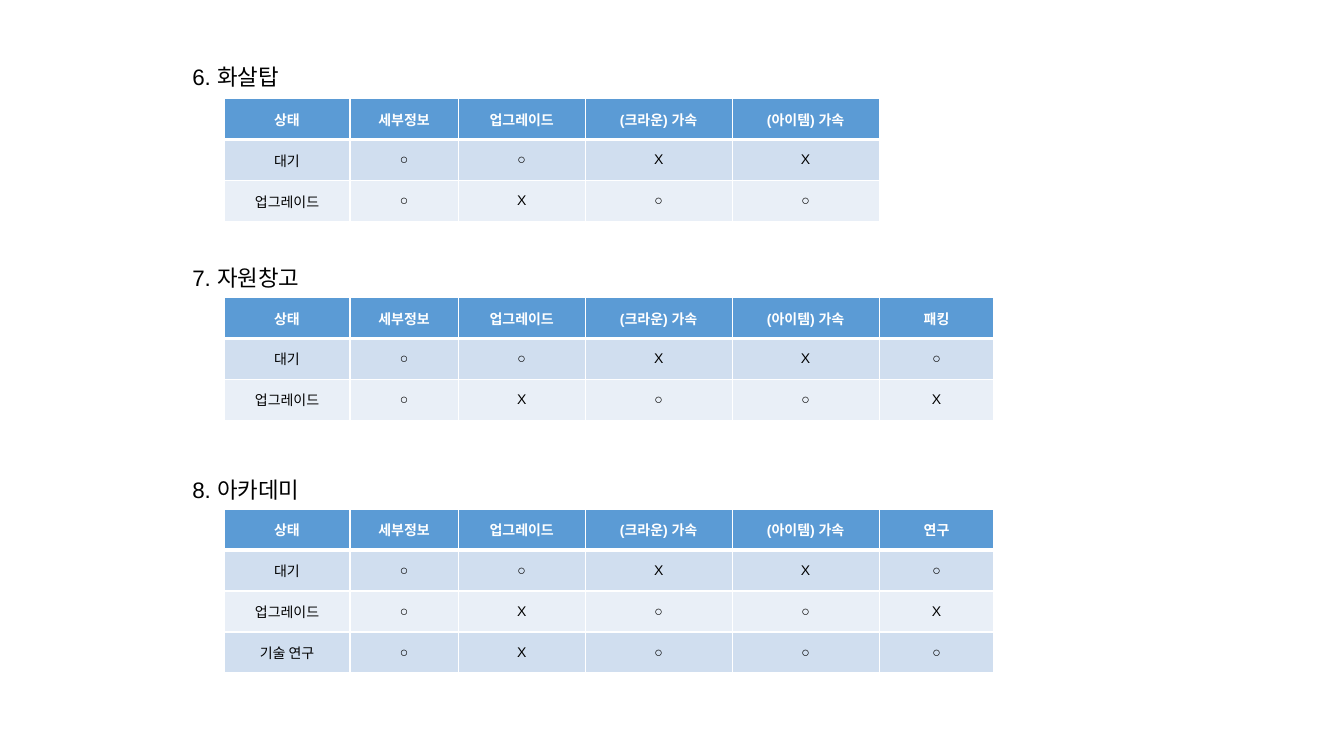
from pptx import Presentation
from pptx import util as u
from pptx.dml.color import RGBColor
from pptx.enum import text
from pptx.oxml import parse_xml
from pptx.oxml.ns import nsdecls

FONT = "Arial"
WHITE, BLACK = "FFFFFF", "000000"
HEADER_FILL = "5B9BD5"
BAND_FILLS = ["D0DEEF", "E9EFF7"]
COLUMN_WIDTHS = [90, 77.25, 90.75, 105, 105, 82]
ROW_HEIGHT = 29.25
SECTION_LEFT, TABLE_INDENT = 94.25, 65.75
HEADING_HEIGHT = 36

COMMON_HEADERS = ["상태", "세부정보", "업그레이드", "(크라운) 가속", "(아이템) 가속"]
IDLE = ["대기", "○", "○", "X", "X"]
UPGRADE = ["업그레이드", "○", "X", "○", "○"]
RESEARCH = ["기술 연구", "○", "X", "○", "○"]

SECTIONS = [
    ("6. 화살탑", 31.75, 117.5, 38.75, [COMMON_HEADERS, IDLE, UPGRADE]),
    ("7. 자원창고", 175.75, 134, 36.75,
     [COMMON_HEADERS + ["패킹"], IDLE + ["○"], UPGRADE + ["X"]]),
    ("8. 아카데미", 327, 134, 36.75,
     [COMMON_HEADERS + ["연구"], IDLE + ["○"], UPGRADE + ["X"], RESEARCH + ["○"]]),
]


def color(value):
    return RGBColor.from_string(value)


def style_font(font, size, value, bold=False):
    font.name = FONT
    font.size = u.Pt(size)
    font.bold = bold
    font.color.rgb = color(value)


def set_borders(cell, top, bottom):
    properties = cell._tc.get_or_add_tcPr()
    for index, (side, width) in enumerate(zip("LRTB", [1, 1, top, bottom])):
        properties.insert(index, parse_xml(
            f'<a:ln{side} {nsdecls("a")} w="{u.Pt(width)}">'
            f'<a:solidFill><a:srgbClr val="{WHITE}"/></a:solidFill></a:ln{side}>'))


def add_heading(page, left, top, width, title):
    box = page.shapes.add_textbox(u.Pt(left), u.Pt(top), u.Pt(width), u.Pt(HEADING_HEIGHT))
    box.text_frame.word_wrap = True
    para = box.text_frame.paragraphs[0]
    para.text = title
    para.level = 1
    para.line_spacing = 1.5
    indents = para._p.get_or_add_pPr()
    indents.set("marL", str(u.Pt(36)))
    indents.set("indent", "0")
    style_font(para.font, 16, BLACK)


def fill_cell(cell, label, row):
    header = row == 0
    cell.fill.solid()
    cell.fill.fore_color.rgb = color(HEADER_FILL if header else BAND_FILLS[(row - 1) % 2])
    cell.vertical_anchor = text.MSO_ANCHOR.MIDDLE
    cell.margin_left = cell.margin_right = u.Pt(9.25)
    cell.margin_top = cell.margin_bottom = u.Pt(3.6)
    set_borders(cell, 3 if row == 1 else 1, 3 if header else 1)
    para = cell.text_frame.paragraphs[0]
    para.text = label
    para.alignment = text.PP_ALIGN.CENTER
    style_font(para.font, 10, WHITE if header else BLACK, header)


def add_state_table(page, left, top, rows):
    widths = COLUMN_WIDTHS[:len(rows[0])]
    table = page.shapes.add_table(
        len(rows), len(widths), u.Pt(left), u.Pt(top),
        u.Pt(sum(widths)), u.Pt(ROW_HEIGHT * len(rows))).table
    for column, width in zip(table.columns, widths):
        column.width = u.Pt(width)
    for row, labels in enumerate(rows):
        table.rows[row].height = u.Pt(ROW_HEIGHT)
        for column, label in enumerate(labels):
            fill_cell(table.cell(row, column), label, row)


def add_section(page, left, top, title, heading_width, table_offset, rows):
    add_heading(page, left, top, heading_width, title)
    add_state_table(page, left + TABLE_INDENT, top + table_offset, rows)


def main():
    deck = Presentation()
    deck.slide_width, deck.slide_height = u.Pt(960), u.Pt(540)
    page = deck.slides.add_slide(deck.slide_layouts[6])
    for title, top, heading_width, table_offset, rows in SECTIONS:
        add_section(page, SECTION_LEFT, top, title, heading_width, table_offset, rows)
    deck.save("out.pptx")


if __name__ == "__main__":
    main()
